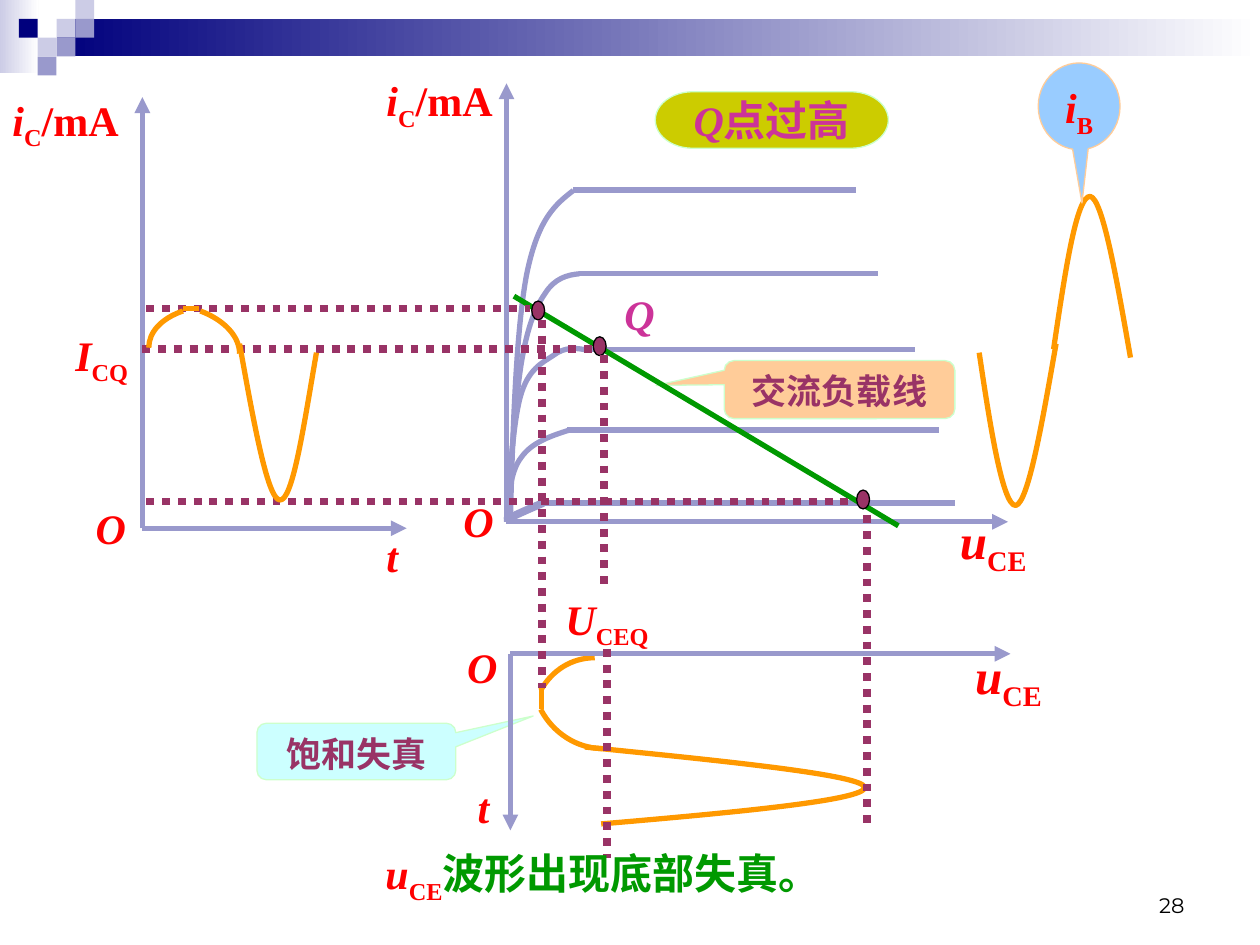
import dataclasses
import typing

import lxml.etree
import pptx
import pptx.dml.color
import pptx.enum.dml
import pptx.enum.shapes
import pptx.enum.text
import pptx.oxml.ns
import pptx.util

Cm, Pt = pptx.util.Cm, pptx.util.Pt
qn = pptx.oxml.ns.qn
RGB = pptx.dml.color.RGBColor
SHAPE = pptx.enum.shapes.MSO_SHAPE
ALIGN = pptx.enum.text.PP_ALIGN
ANCHOR = pptx.enum.text.MSO_ANCHOR
AUTO_SIZE = pptx.enum.text.MSO_AUTO_SIZE

WHITE, BLACK = RGB(0xFF, 0xFF, 0xFF), RGB(0, 0, 0)
NAVY, LILAC, PALE_LILAC = RGB(0, 0, 0x7D), RGB(0x99, 0x99, 0xCC), RGB(0xCC, 0xCC, 0xE6)
RED, GREEN, ORANGE = RGB(0xFF, 0, 0), RGB(0, 0x99, 0), RGB(0xFF, 0x99, 0)
PLUM, MAGENTA, OLIVE = RGB(0x99, 0x33, 0x66), RGB(0xCC, 0x33, 0x99), RGB(0xCC, 0xCC, 0)
PALE_GREEN, PALE_CYAN = RGB(0xCC, 0xFF, 0xCC), RGB(0xCC, 0xFF, 0xFF)
PEACH, SKY = RGB(0xFF, 0xCC, 0x99), RGB(0x99, 0xCC, 0xFF)


@dataclasses.dataclass
class Box:
    """A region of the slide, in centimetres."""
    shapes: typing.Any
    left: float
    top: float
    width: float
    height: float

    def at(self, x, y):
        return Cm(self.left + x), Cm(self.top + y)


def write(shape, text, sub="", rest="", size=24, color=RED, rest_color=None, bold=True,
          italic=True, font="Times New Roman", align=ALIGN.LEFT, anchor=ANCHOR.TOP, wrap=True):
    """Write text, then an upright subscript, then upright trailing text."""
    frame = shape.text_frame
    frame.word_wrap, frame.vertical_anchor = wrap, anchor
    paragraph = frame.paragraphs[0]
    paragraph.alignment = align
    parts = [(text, color, italic), (sub, color, False), (rest, rest_color or color, False)]
    for index, (words, part_color, slanted) in enumerate(parts):
        if not words:
            continue
        run = paragraph.add_run()
        run.text = words
        run.font.name, run.font.size = font, Pt(size)
        run.font.bold, run.font.italic = bold, slanted
        run.font.color.rgb = part_color
        if index == 1:
            run.font._rPr.set("baseline", "-25000")


def label(box, x, y, width, height, text, **text_format):
    shape = box.shapes.add_textbox(*box.at(x, y), Cm(width), Cm(height))
    write(shape, text, **text_format)
    shape.text_frame.auto_size = AUTO_SIZE.SHAPE_TO_FIT_TEXT


def solid(box, kind, x, y, width, height, fill, edge=None, adjust=()):
    """Add a preset shape; a pair of colours as fill makes a gradient."""
    shape = box.shapes.add_shape(kind, *box.at(x, y), Cm(width), Cm(height))
    shape.shadow.inherit = False
    if isinstance(fill, list):
        shape.fill.gradient()
        shape.fill.gradient_angle = 0
        for stop, color in zip(shape.fill.gradient_stops, fill):
            stop.color.rgb = color
    else:
        shape.fill.solid()
        shape.fill.fore_color.rgb = fill
    if edge is None:
        shape.line.fill.background()
    else:
        shape.line.color.rgb, shape.line.width = edge, Pt(0.75)
    for index, value in enumerate(adjust):
        shape.adjustments[index] = value
    return shape


def dot(box, x, y):
    solid(box, SHAPE.OVAL, x - 0.13, y - 0.19, 0.26, 0.38, PLUM, BLACK)


def line(box, x1, y1, x2, y2, color=LILAC, width=3, arrow=False, dotted=False):
    connector = box.shapes.add_connector(
        pptx.enum.shapes.MSO_CONNECTOR.STRAIGHT, *box.at(x1, y1), *box.at(x2, y2))
    connector.line.color.rgb, connector.line.width = color, Pt(width)
    if dotted:
        connector.line.dash_style = pptx.enum.dml.MSO_LINE.ROUND_DOT
    if arrow:
        outline = connector.line._get_or_add_ln()
        lxml.etree.SubElement(outline, qn("a:tailEnd"), type="triangle")
    lxml.etree.SubElement(connector._element.spPr, qn("a:effectLst"))


def curve(box, start, *knots, color=LILAC, width=3):
    """Draw joined cubic Bezier arcs: a start, then three points for each arc."""
    builder = box.shapes.build_freeform(*box.at(*start))
    builder.add_line_segments([box.at(*knot) for knot in knots], close=False)
    shape = builder.convert_to_shape()
    # Turn every three straight segments into one Bezier segment
    outline = next(shape._element.iter(qn("a:path")))
    segments = outline.findall(qn("a:lnTo"))
    for first in range(0, len(segments), 3):
        bezier = lxml.etree.SubElement(outline, qn("a:cubicBezTo"))
        for segment in segments[first:first + 3]:
            bezier.append(segment[0])
            outline.remove(segment)
    shape.shadow.inherit = False
    shape.fill.background()
    shape.line.color.rgb, shape.line.width = color, Pt(width)


def header(box):
    cell = 0.38
    solid(box, SHAPE.RECTANGLE, 0, 0, 0.78, 1.48, [PALE_LILAC, WHITE])
    solid(box, SHAPE.RECTANGLE, 3 * cell, cell, box.width - 3 * cell, 2 * cell, [NAVY, WHITE])
    for column, row, color in [(3, 1, PALE_LILAC), (4, 0, PALE_LILAC), (4, 1, LILAC),
                               (2, 2, PALE_LILAC), (1, 1, NAVY), (3, 2, LILAC), (2, 3, LILAC)]:
        solid(box, SHAPE.RECTANGLE, column * cell, row * cell, cell, cell, color)


def output_characteristics(box):
    note = solid(box, SHAPE.ROUNDED_RECTANGULAR_CALLOUT, 4.39, 5.59, 4.65, 1.17,
                 PEACH, PALE_GREEN, (-0.795, -0.072, 0.167))
    write(note, "交流负载线", size=20, color=PLUM, italic=False, align=ALIGN.CENTER)
    # Family of curves: rising knee, then a flat part
    curve(box, (0, 8.79), (0.05, 8.31), (0.08, 7.82), (0.3, 7.54),
          (0.51, 7.24), (0.89, 7.11), (1.27, 6.99))
    curve(box, (0, 8.84), (0.08, 7.87), (0.13, 6.88), (0.28, 6.32), (0.43, 5.77),
          (0.71, 5.64), (0.94, 5.49), (1.17, 5.31), (1.4, 5.33), (1.63, 5.38))
    curve(box, (0, 8.79), (0, 8.79), (0.38, 8.61), (0.74, 8.46), width=4.5)
    curve(box, (0, 8.79), (0.1, 7.59), (0.18, 6.4), (0.3, 5.64), (0.43, 4.88),
          (0.58, 4.52), (0.79, 4.22), (0.97, 3.94), (1.22, 3.86), (1.47, 3.84))
    curve(box, (0.08, 8.79), (0.13, 6.86), (0.2, 4.93), (0.41, 3.84),
          (0.64, 2.72), (0.99, 2.44), (1.35, 2.16))
    for start, end, level in [(1.22, 8.71, 6.99), (1.63, 8.23, 5.37), (0.69, 9.04, 8.46),
                              (1.47, 7.49, 3.84), (1.35, 7.04, 2.15)]:
        line(box, start, level, end, level)
    # Axes
    line(box, 0, box.height, box.width, box.height, arrow=True)
    line(box, 0, box.height, 0, 0, arrow=True)
    label(box, -2.67, -0.3, 3.07, 1.42, "i", sub="C", rest="/mA")
    label(box, -1.12, 8.18, 1.4, 1.27, "O")
    label(box, 8.89, 8.48, 2.21, 1.6, "u", sub="CE", size=28)
    # Load line and its working points
    line(box, 0.15, 4.29, 7.9, 8.92, color=GREEN)
    for x, y in [(1.88, 5.3), (0.64, 4.58), (7.19, 8.39)]:
        dot(box, x, y)
    label(box, 2.13, 4.01, 1.35, 1.27, "Q", color=MAGENTA)


def collector_axes(box):
    line(box, 0, box.height, box.width, box.height, arrow=True)
    line(box, 0, box.height, 0, 0, arrow=True)
    label(box, -2.87, -0.18, 3.07, 1.42, "i", sub="C", rest="/mA")
    label(box, -1.6, 4.55, 1.73, 1.42, "I", sub="CQ")
    label(box, -1.19, 8.05, 1.4, 1.27, "O")
    label(box, 4.67, 8.61, 1.14, 1.27, "t")


def voltage_graph(box):
    note = solid(box, SHAPE.ROUNDED_RECTANGULAR_CALLOUT, -5.11, 1.4, 4.01, 1.14,
                 PALE_CYAN, PALE_GREEN, (0.889, -0.628, 0.167))
    write(note, "饱和失真", size=20, color=PLUM, italic=False, align=ALIGN.CENTER)
    # Clipped wave
    curve(box, (1.83, 3.43), (4.52, 3.2), (7.19, 2.95), (7.14, 2.69),
          (7.09, 2.44), (4.29, 2.16), (1.5, 1.88), color=ORANGE)
    curve(box, (0.61, 1.12), (0.86, 1.6), (1.35, 1.91), (1.85, 1.91), color=ORANGE)
    curve(box, (0.61, 0.74), (0.84, 0.33), (1.24, 0.08), (1.7, 0.08), color=ORANGE)
    line(box, 0.63, 1.12, 0.63, 0.71, color=ORANGE)
    # Axes
    line(box, 0, 0, box.width, 0, arrow=True)
    line(box, 0, 0, 0, box.height, arrow=True)
    label(box, 9.12, -0.3, 2.21, 1.6, "u", sub="CE", size=28)
    label(box, -0.91, 2.44, 1.14, 1.27, "t")
    label(box, -1.12, -0.38, 1.4, 1.27, "O")
    label(box, 0.86, -1.35, 2.49, 1.42, "U", sub="CEQ")


def guides(box):
    for start, end, y in [(0, 9.17, 0.82), (0.08, 7.82, 0), (0.08, 14.38, 3.89)]:
        line(box, start, y, end, y, color=PLUM, width=4.5, dotted=True)
    for x, start, end in [(9.3, 0.94, 5.62), (9.37, 6.86, 11.08),
                          (8.05, 0.23, 7.65), (14.61, 4.17, 10.47)]:
        line(box, x, start, x, end, color=PLUM, width=4.5, dotted=True)


def collector_wave(box):
    curve(box, (3.38, 0.89), (3.12, 2.39), (2.9, 3.89), (2.64, 3.86),
          (2.39, 3.84), (2.11, 2.26), (1.83, 0.71), color=ORANGE)
    curve(box, (1.04, 0.05), (1.52, 0.23), (1.83, 0.56), (1.83, 0.91), color=ORANGE)
    curve(box, (0.69, 0.05), (0.25, 0.2), (0, 0.48), (0, 0.79), color=ORANGE)
    line(box, 0.69, 0, 1.02, 0, color=ORANGE)


def base_wave(box):
    curve(box, (0, 5.84), (0.23, 7.39), (0.48, 8.94), (0.74, 8.92),
          (0.99, 8.86), (1.27, 7.26), (1.55, 5.66), color=ORANGE)
    curve(box, (1.5, 5.77), (1.73, 4.22), (1.96, 2.67), (2.24, 2.69),
          (2.49, 2.74), (2.77, 4.34), (3.05, 5.94), color=ORANGE)
    balloon = solid(box, SHAPE.OVAL_CALLOUT, 1.19, 0, 1.65, 1.75, SKY, PEACH, (0.035, 1.114))
    write(balloon, "i", sub="B", align=ALIGN.CENTER)


def captions(box):
    heading = solid(box, SHAPE.FLOWCHART_TERMINATOR, 13.21, 1.85, 4.7, 1.14, OLIVE, PALE_GREEN)
    write(heading, "Q", rest="点过高", color=MAGENTA, align=ALIGN.CENTER,
          anchor=ANCHOR.MIDDLE, wrap=False)
    label(box, 7.52, 16.97, 11.23, 1.42, "u", sub="CE", rest="波形出现底部失真。",
          rest_color=GREEN)
    number = box.shapes.add_textbox(*box.at(18.21, 17.35), Cm(5.92), Cm(1.27))
    write(number, "28", size=12, color=BLACK, bold=False, italic=False, font="Montserrat",
          align=ALIGN.RIGHT, anchor=ANCHOR.BOTTOM)


def main():
    deck = pptx.Presentation()
    deck.slide_width, deck.slide_height = Cm(25.4), Cm(19.05)
    shapes = deck.slides.add_slide(deck.slide_layouts[6]).shapes
    header(Box(shapes, 0, 0, 25.4, 1.52))
    output_characteristics(Box(shapes, 10.21, 1.68, 10.11, 8.84))
    collector_axes(Box(shapes, 2.87, 1.96, 5.33, 8.69))
    voltage_graph(Box(shapes, 10.29, 13.18, 10.08, 3.56))
    guides(Box(shapes, 2.87, 6.22, 14.61, 11.08))
    collector_wave(Box(shapes, 3, 6.22, 3.38, 3.9))
    base_wave(Box(shapes, 19.74, 1.27, 3.05, 8.94))
    captions(Box(shapes, 0, 0, 25.4, 19.05))
    deck.save("out.pptx")


if __name__ == "__main__":
    main()
